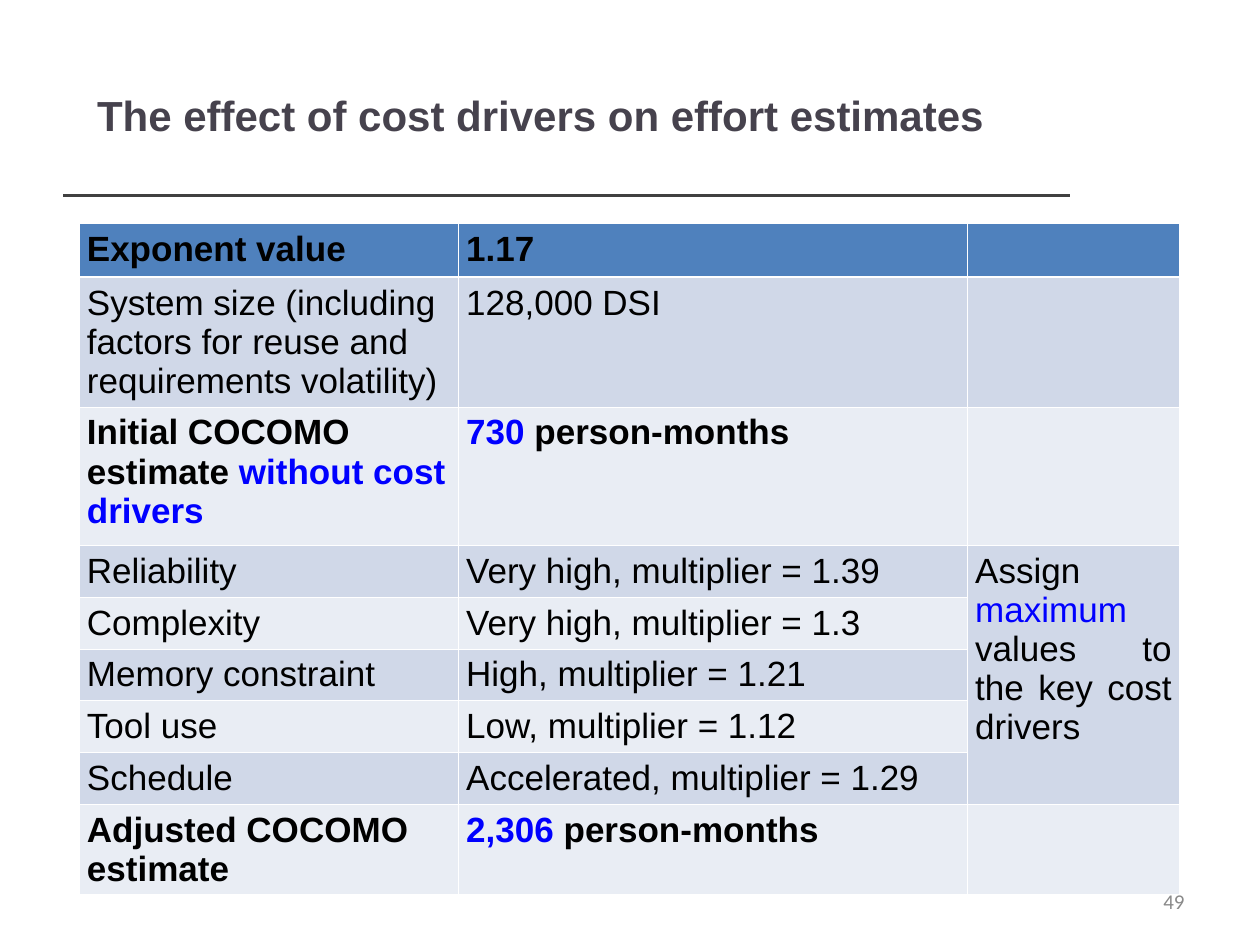
from lxml.etree import SubElement
from pptx import Presentation
from pptx.dml.color import RGBColor
from pptx.enum.shapes import MSO_CONNECTOR
from pptx.enum.text import MSO_ANCHOR, PP_ALIGN
from pptx.oxml.ns import qn
from pptx.util import Inches, Pt

WHITE = RGBColor(0xFF, 0xFF, 0xFF)
BLACK = RGBColor(0, 0, 0)
BLUE = RGBColor(0, 0, 0xFF)
TITLE_GRAY = RGBColor(0x46, 0x42, 0x4D)
RULE_GRAY = RGBColor(0x40, 0x40, 0x40)
NUMBER_GRAY = RGBColor(0x89, 0x89, 0x89)
HEADER_FILL = RGBColor(0x4F, 0x81, 0xBD)
BAND_FILLS = (RGBColor(0xE9, 0xED, 0xF4), RGBColor(0xD0, 0xD8, 0xE8))

COLUMNS = (3.01, 4.04, 1.68)
ROW_HEIGHTS = (0.43, 1, 1.1, 0.41, 0.41, 0.41, 0.41, 0.41, 0.67)
BOLD_ROWS = (0, 2, 8)
DRIVER_ROWS = (3, 7)  # first and last row beside the merged remark

# Each cell is a list of (text, colour) runs
ROWS = [
    ([("Exponent value", BLACK)], [("1.17", BLACK)]),
    ([("System size (including factors for reuse and requirements volatility)", BLACK)],
     [("128,000 DSI", BLACK)]),
    ([("Initial COCOMO estimate ", BLACK), ("without cost drivers", BLUE)],
     [("730", BLUE), (" person-months", BLACK)]),
    ([("Reliability", BLACK)], [("Very high, multiplier = 1.39", BLACK)],
     [("Assign ", BLACK), ("maximum", BLUE), (" values to the key cost drivers", BLACK)]),
    ([("Complexity", BLACK)], [("Very high, multiplier = 1.3", BLACK)]),
    ([("Memory constraint", BLACK)], [("High, multiplier = 1.21", BLACK)]),
    ([("Tool use", BLACK)], [("Low, multiplier = 1.12", BLACK)]),
    ([("Schedule", BLACK)], [("Accelerated, multiplier = 1.29", BLACK)]),
    ([("Adjusted COCOMO estimate", BLACK)], [("2,306", BLUE), (" person-months", BLACK)]),
]


def style_font(font, name, size, color, bold=False):
    font.name, font.size, font.bold = name, Pt(size), bold
    font.color.rgb = color


def add_title(s, text):
    title = s.shapes.title
    title.left, title.top = Inches(0.67), Inches(0.34)
    title.width, title.height = Inches(7.67), Inches(1.14)
    tf = title.text_frame
    tf.text = text
    tf.vertical_anchor = MSO_ANCHOR.MIDDLE
    p = tf.paragraphs[0]
    p.alignment = PP_ALIGN.LEFT
    style_font(p.runs[0].font, "Arial", 24, TITLE_GRAY, True)


def add_rule(s):
    rule = s.shapes.add_connector(MSO_CONNECTOR.STRAIGHT, Inches(0.5), Inches(1.55),
                                  Inches(8.49), Inches(1.55))
    rule.line.color.rgb = RULE_GRAY
    rule.line.width = Pt(2)
    SubElement(rule._element.spPr, qn("a:effectLst"))


def add_page_number(s, text):
    sp = s.shapes.add_textbox(Inches(7.17), Inches(6.95), Inches(2.33), Inches(0.4))
    tf = sp.text_frame
    tf.word_wrap = True
    tf.vertical_anchor = MSO_ANCHOR.MIDDLE
    tf.text = text
    p = tf.paragraphs[0]
    p.alignment = PP_ALIGN.RIGHT
    style_font(p.runs[0].font, "Calibri", 12, NUMBER_GRAY)


def set_borders(cell, widths):
    """Draw white borders; widths are points for left, right, top, bottom."""
    tcPr = cell._tc.get_or_add_tcPr()
    for position, (side, width) in enumerate(zip("LRTB", widths)):
        ln = tcPr.makeelement(qn(f"a:ln{side}"), {"w": str(Pt(width))})
        fill = SubElement(ln, qn("a:solidFill"))
        SubElement(fill, qn("a:srgbClr"), val=str(WHITE))
        tcPr.insert(position, ln)


def write_cell(cell, runs, align, bold):
    p = cell.text_frame.paragraphs[0]
    p.alignment = align
    for text, color in runs:
        r = p.add_run()
        r.text = text
        style_font(r.font, "Arial", 20, color, bold)


def add_estimate_table(s):
    frame = s.shapes.add_table(len(ROWS), len(COLUMNS), Inches(0.63), Inches(1.77),
                               Inches(sum(COLUMNS)), Inches(sum(ROW_HEIGHTS)))
    table = frame.table
    for column, width in zip(table.columns, COLUMNS):
        column.width = Inches(width)
    for row, height in zip(table.rows, ROW_HEIGHTS):
        row.height = Inches(height)

    # Fills, borders and margins
    for i, row in enumerate(table.rows):
        top, bottom = (1.47 if i == n else 0.45 for n in (1, 0))
        for cell in row.cells:
            cell.margin_left = cell.margin_right = Inches(0.06)
            cell.margin_top = cell.margin_bottom = Inches(0.05)
            cell.fill.solid()
            cell.fill.fore_color.rgb = BAND_FILLS[i % 2] if i else HEADER_FILL
            set_borders(cell, (0.45, 0.45, top, bottom))

    # Remark beside the cost drivers
    first, last = DRIVER_ROWS
    table.cell(first, 2).merge(table.cell(last, 2))

    # Wording
    for i, cells in enumerate(ROWS):
        for j, runs in enumerate(cells):
            align = PP_ALIGN.JUSTIFY if j else PP_ALIGN.LEFT
            write_cell(table.cell(i, j), runs, align, i in BOLD_ROWS)


def main():
    prs = Presentation()
    prs.slide_width, prs.slide_height = Inches(10), Inches(7.5)
    s = prs.slides.add_slide(prs.slide_layouts[5])
    add_rule(s)
    add_title(s, "The effect of cost drivers on effort estimates")
    add_estimate_table(s)
    add_page_number(s, "49")
    prs.save("out.pptx")


if __name__ == "__main__":
    main()
